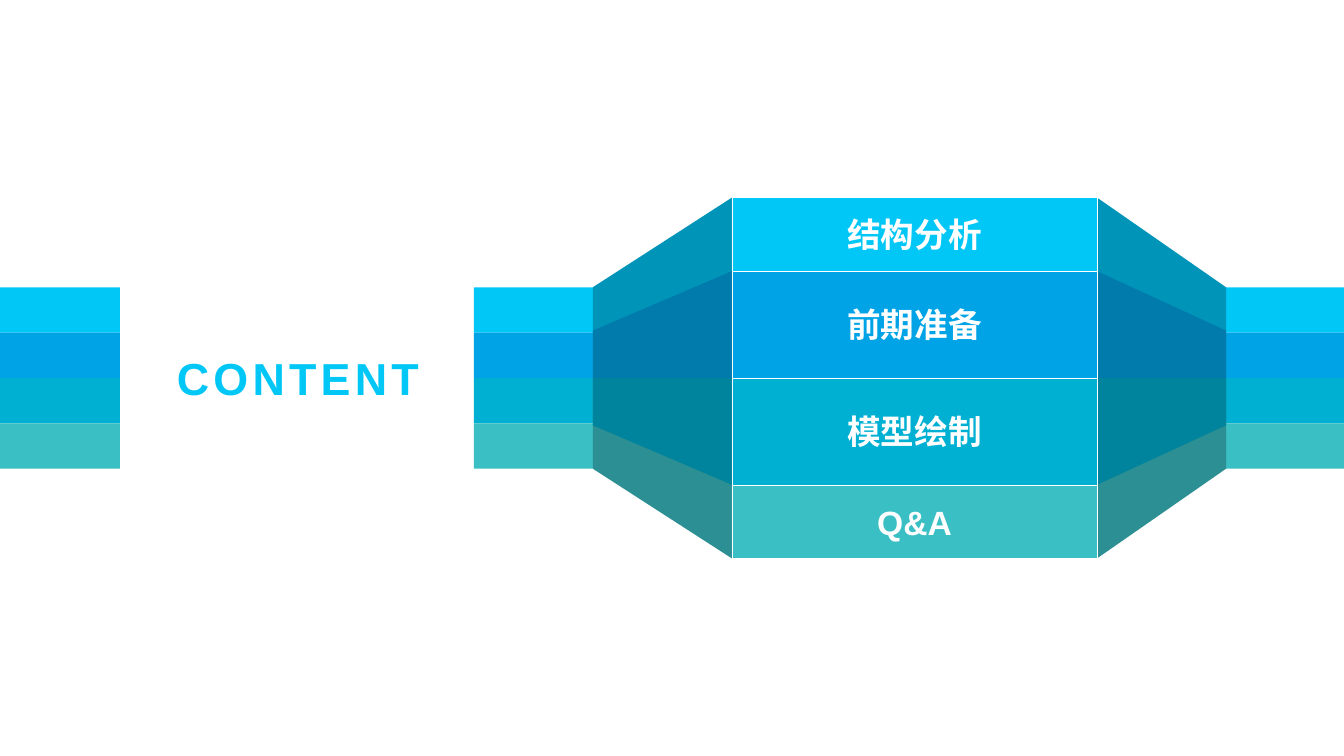
import pptx
import pptx.util
import pptx.dml.color
import pptx.enum.shapes
import pptx.enum.text

Inches = pptx.util.Inches
BAND_COLORS = ["00C7F6", "00A4E6", "00B0D3", "3ABFC4"]
MIDDLE = 3.75
STRIP_TOP, STRIP_HEIGHT = 2.85, 0.45
STRIPS = [(0, 1.19), (4.7, 1.18), (12.14, 1.19)]
PANEL_LEFT, PANEL_WIDTH = 7.26, 3.62
PANEL_EDGES = [1.96, 2.69, 3.75, 4.81, 5.54]
PANEL_LABELS = ["结构分析", "前期准备", "模型绘制", "Q&A"]
WINGS = [(5.88, PANEL_LEFT), (12.16, PANEL_LEFT + PANEL_WIDTH)]
WING_FACES = [
    (2.85, 1.96, "0095B8"),
    (4.65, 5.54, "2C8F93"),
    (3.28, 2.69, "007BAC"),
    (4.22, 4.81, "00849E"),
]


def color(hex_value):
    return pptx.dml.color.RGBColor.from_string(hex_value)


def paint(shape, fill, line=None):
    shape.shadow.inherit = False
    shape.fill.solid()
    shape.fill.fore_color.rgb = color(fill)
    if line:
        shape.line.color.rgb = color(line)
        shape.line.width = pptx.util.Pt(0.25)
    else:
        shape.line.fill.background()


def write(shape, text, size=24, font="Arial", fill="FFFFFF", bold=True, spacing=0):
    frame = shape.text_frame
    frame.word_wrap = False
    frame.vertical_anchor = pptx.enum.text.MSO_ANCHOR.MIDDLE
    paragraph = frame.paragraphs[0]
    paragraph.alignment = pptx.enum.text.PP_ALIGN.CENTER
    run = paragraph.add_run()
    run.text = text
    run.font.size = pptx.util.Pt(size)
    run.font.name = font
    run.font.bold = bold
    run.font.color.rgb = color(fill)
    if spacing:
        run._r.get_or_add_rPr().set("spc", str(spacing * 100))


def add_band(slide, left, top, width, height, fill, line=None):
    band = slide.shapes.add_shape(
        pptx.enum.shapes.MSO_SHAPE.RECTANGLE,
        Inches(left), Inches(top), Inches(width), Inches(height))
    paint(band, fill, line)
    return band


def add_strip(slide, left, width):
    for row, fill in enumerate(BAND_COLORS):
        add_band(slide, left, STRIP_TOP + row * STRIP_HEIGHT, width, STRIP_HEIGHT, fill)


def add_wing(slide, strip_x, panel_x):
    for strip_y, panel_y, fill in WING_FACES:
        corners = [(strip_x, strip_y), (panel_x, panel_y), (panel_x, MIDDLE)]
        builder = slide.shapes.build_freeform(Inches(strip_x), Inches(MIDDLE))
        builder.add_line_segments([(Inches(x), Inches(y)) for x, y in corners], close=True)
        paint(builder.convert_to_shape(), fill)


def add_panel(slide):
    for label, fill, top, bottom in zip(
            PANEL_LABELS, BAND_COLORS, PANEL_EDGES, PANEL_EDGES[1:]):
        band = add_band(slide, PANEL_LEFT, top, PANEL_WIDTH, bottom - top, fill, "FFFFFF")
        write(band, label)


def add_heading(slide):
    heading = slide.shapes.add_textbox(Inches(1.22), Inches(2.85), Inches(3.47), Inches(1.79))
    write(heading, "CONTENT", size=32, fill="00C7F6", spacing=3)


def main():
    deck = pptx.Presentation()
    deck.slide_width, deck.slide_height = Inches(13.33), Inches(7.5)
    slide = deck.slides.add_slide(deck.slide_layouts[6])
    for left, width in STRIPS:
        add_strip(slide, left, width)
    for strip_x, panel_x in WINGS:
        add_wing(slide, strip_x, panel_x)
    add_panel(slide)
    add_heading(slide)
    deck.save("out.pptx")


if __name__ == "__main__":
    main()
